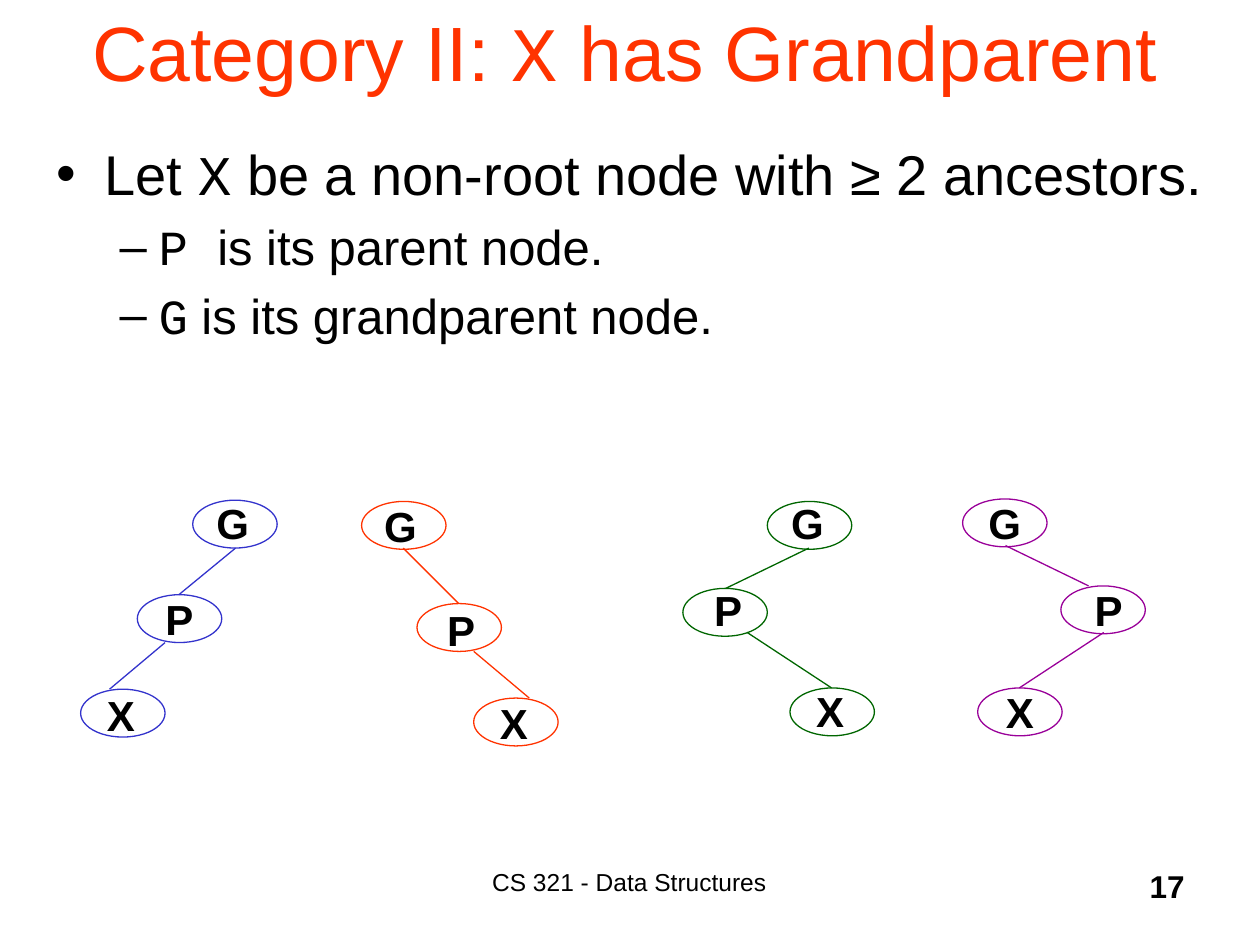
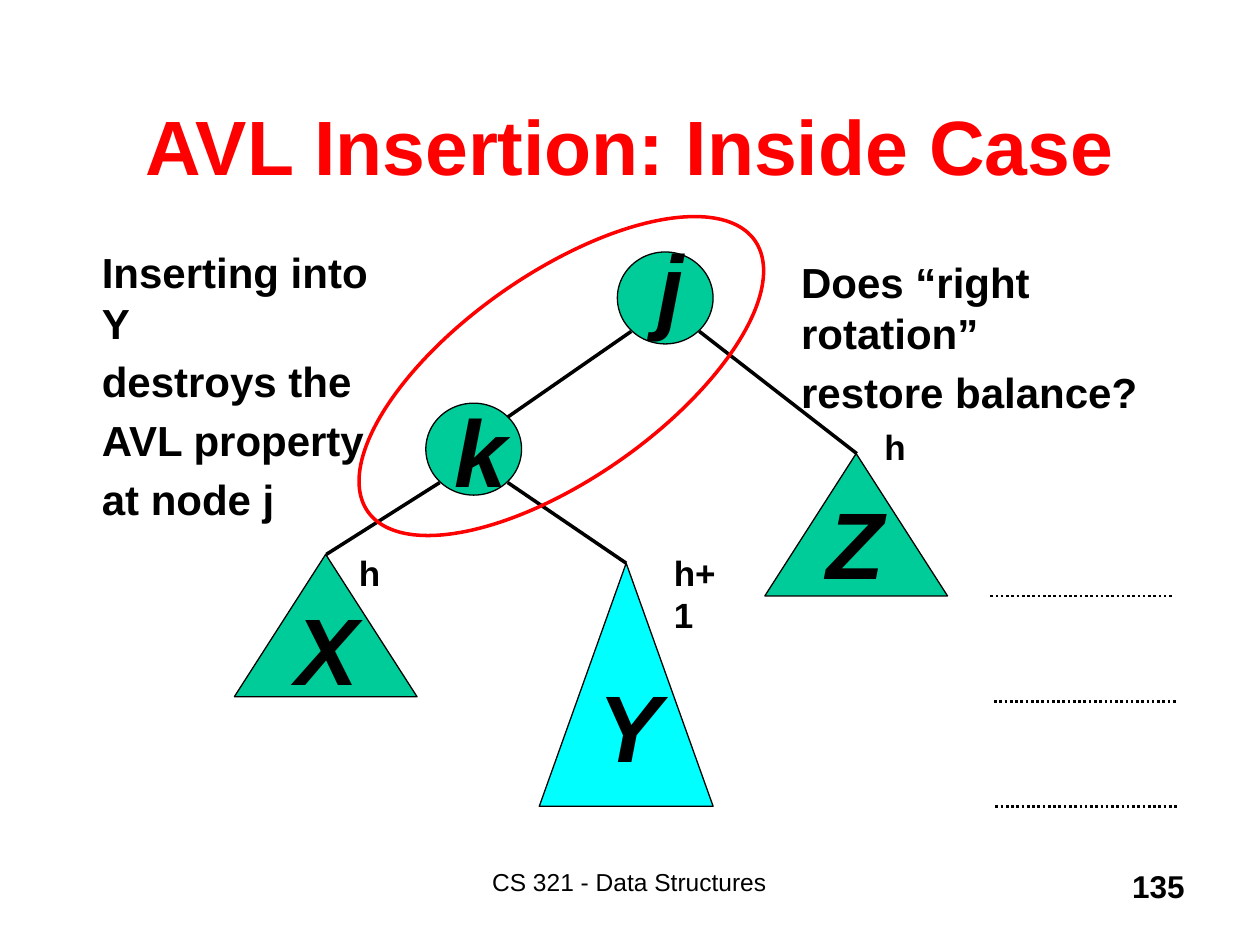
from pptx import Presentation
from pptx.dml.color import RGBColor
from pptx.enum.dml import MSO_LINE
from pptx.enum.shapes import MSO_CONNECTOR, MSO_SHAPE
from pptx.enum.text import MSO_ANCHOR, PP_ALIGN
from pptx.oxml.ns import qn
from pptx.util import Inches, Pt
from lxml import etree

SANS, MONO = "Arial", "Courier New"
BLACK, RED, GREEN, CYAN = "000000", "FF0000", "00CC99", "00FFFF"
LEFT, MID, RIGHT = PP_ALIGN.LEFT, PP_ALIGN.CENTER, PP_ALIGN.RIGHT

TREES = [
    ("3333CC",
     [("G", 1.53, 3.97, 1.62, 3.9), ("P", 1.09, 4.72), ("X", 0.64, 5.47, 0.75, 5.42)],
     [(1.87, 4.35, 1.42, 4.72), (1.31, 5.1, 0.87, 5.47)]),
    ("FF3300",
     [("G", 2.87, 3.98, 2.95, 3.92), ("P", 3.31, 4.79, 3.45, 4.75), ("X", 3.76, 5.54, 3.87, 5.49)],
     [(3.2, 4.35, 3.64, 4.79), (3.76, 5.17, 4.2, 5.54)]),
    ("006600",
     [("G", 6.09, 3.98, 6.18, 3.9), ("P", 5.42, 4.67, 5.57, 4.59), ("X", 6.27, 5.46, 6.38, 5.39)],
     [(6.42, 4.35, 5.76, 4.67), (5.93, 5.02, 6.6, 5.46)]),
    ("990099",
     [("G", 7.64, 3.96), ("P", 8.42, 4.65, 8.59, 4.59), ("X", 7.76, 5.46)],
     [(7.98, 4.33, 8.64, 4.65), (8.76, 5.02, 8.09, 5.46)]),
]


def color(code):
    """Turn a hex string into a colour."""
    return RGBColor.from_string(code)


def style(para, size, ink=BLACK, bold=False, italic=False, align=LEFT, gap=0.2):
    """Set the font, alignment and space before of a paragraph."""
    font = para.font
    font.name, font.size, font.bold, font.italic = SANS, Pt(size), bold, italic
    font.color.rgb = color(ink)
    para.alignment = align
    para.space_before = Pt(round(size * gap, 1))


def fill_runs(para, text):
    """Write text in which backticks enclose monospaced parts."""
    for i, part in enumerate(text.split("`")):
        if part:
            run = para.add_run()
            run.text = part
            if i % 2:
                run.font.name = MONO


def add_text(shapes, box, lines, size, anchor=MSO_ANCHOR.TOP, **look):
    """Add a wrapped text box with one paragraph per line."""
    frame = shapes.add_textbox(*map(Inches, box)).text_frame
    frame.word_wrap = True
    frame.vertical_anchor = anchor
    for i, line in enumerate(lines):
        para = frame.paragraphs[0] if i == 0 else frame.add_paragraph()
        fill_runs(para, line)
        style(para, size, **look)
    return frame


def add_form(shapes, kind, box, line, fill=None, width=0.75):
    """Add an outlined preset shape, filled if a fill is given."""
    form = shapes.add_shape(kind, *map(Inches, box))
    form.shadow.inherit = False
    if fill:
        form.fill.solid()
        form.fill.fore_color.rgb = color(fill)
    else:
        form.fill.background()
    form.line.color.rgb = color(line)
    form.line.width = Pt(width)
    return form


def add_line(shapes, ends, ink=BLACK, width=2, dash=None):
    """Add a straight line between two points."""
    line = shapes.add_connector(MSO_CONNECTOR.STRAIGHT, *map(Inches, ends))
    line.line.color.rgb = color(ink)
    line.line.width = Pt(width)
    if dash:
        line.line.dash_style = dash
    etree.SubElement(line._element.spPr, qn("a:effectLst"))


def add_bullet(para, mark, left, hang):
    """Give a paragraph a bullet and a hanging indent."""
    props = para._p.get_or_add_pPr()
    props.set("marL", str(Inches(left)))
    props.set("indent", str(-Inches(hang)))
    etree.SubElement(props, qn("a:buFont")).set("typeface", SANS)
    etree.SubElement(props, qn("a:buChar")).set("char", mark)
    fonts = props.find(qn("a:defRPr"))
    if fonts is not None:
        props.append(fonts)


def add_node(shapes, ink, name, x, y, *spot):
    """Add a tree node, named inside or by a label at the spot."""
    oval = add_form(shapes, MSO_SHAPE.OVAL, (x, y, 0.67, 0.38), ink)
    if spot:
        add_text(shapes, (*spot, 0.47, 0.5), [name], 24, bold=True)
    else:
        frame = oval.text_frame
        frame.word_wrap = False
        frame.vertical_anchor = MSO_ANCHOR.MIDDLE
        para = frame.paragraphs[0]
        para.text = name
        style(para, 24, bold=True, align=MID)


def add_tree(slide, ink, nodes, edges):
    """Add a group with the nodes and edges of one tree."""
    shapes = slide.shapes.add_group_shape().shapes
    for node in nodes:
        add_node(shapes, ink, *node)
    for edge in edges:
        add_line(shapes, edge, ink, 0.75)


def add_part(shapes, kind, box, name, spot, fill=GREEN):
    """Add a filled node or subtree with its large letter."""
    add_form(shapes, kind, box, BLACK, fill)
    add_text(shapes, (*spot, 0.46, 1), [name], 54, bold=True, italic=True, gap=0.626)


def add_page(deck, title, box, ink, number, bold=False):
    """Add a slide with its title, footer and number."""
    slide = deck.slides.add_slide(deck.slide_layouts[6])
    shapes = slide.shapes
    add_text(shapes, box, [title], 44, MSO_ANCHOR.MIDDLE, ink=ink, bold=bold, align=MID)
    add_text(shapes, (3.08, 6.83, 3.83, 0.5), ["CS 321 - Data Structures"], 14, align=MID, gap=0)
    add_text(shapes, (7.42, 6.83, 2.08, 0.5), [number], 18, bold=True, align=RIGHT, gap=0)
    return slide


def add_cases(deck):
    """Build the slide with the four grandparent cases."""
    slide = add_page(deck, "Category II: `X` has Grandparent",
                     (0.42, -0.04, 9.08, 0.88), "FF3300", "17")
    lines = ["Let `X` be a non-root node with ≥ 2 ancestors.",
             "`P `is its parent node.", "`G` is its grandparent node."]
    frame = add_text(slide.shapes, (0.35, 1.06, 9.48, 2.51), lines, 32)
    head, *subs = frame.paragraphs
    add_bullet(head, "•", 0.38, 0.38)
    for para in subs:
        para.level = 1
        style(para, 28)
        add_bullet(para, "–", 0.81, 0.31)
    for tree in TREES:
        add_tree(slide, *tree)


def add_inside(deck):
    """Build the slide with the inside case of insertion."""
    shapes = add_page(deck, "AVL Insertion: Inside Case",
                      (0.73, 0.71, 8.55, 0.88), RED, "135", True).shapes
    oval, peak = MSO_SHAPE.OVAL, MSO_SHAPE.ISOSCELES_TRIANGLE
    for ends in [(5.01, 2.63, 4.03, 3.31), (3.49, 3.83, 2.59, 4.4),
                 (4.03, 3.83, 4.97, 4.47), (5.55, 2.63, 6.8, 3.6)]:
        add_line(shapes, ends)
    add_part(shapes, oval, (4.9, 2, 0.76, 0.73), "j", (5.12, 1.76))
    add_part(shapes, oval, (3.38, 3.2, 0.76, 0.73), "k", (3.51, 3.07))
    add_part(shapes, peak, (1.86, 4.4, 1.45, 1.13), "X", (2.25, 4.64))
    add_part(shapes, peak, (4.28, 4.47, 1.38, 1.93), "Y", (4.65, 5.25), CYAN)
    add_part(shapes, peak, (6.07, 3.6, 1.45, 1.13), "Z", (6.46, 3.8))
    for x, y in [(7.86, 4.73), (7.89, 5.57), (7.9, 6.4)]:
        add_line(shapes, (x, y, x + 1.45, y), width=1.5, dash=MSO_LINE.ROUND_DOT)
    add_text(shapes, (0.71, 1.91, 2.51, 1.7),
             ["Inserting into Y", "destroys the", "AVL property", "at node j"], 24, bold=True)
    add_text(shapes, (6.26, 1.99, 3.14, 0.9),
             ["Does “right rotation”", "restore balance?"], 24, bold=True)
    add_form(shapes, oval, (2.58, 2.17, 3.75, 1.63), RED, width=2).rotation = 325
    for name, x, y, wide in [("h", 6.92, 3.33, 0.36), ("h+1", 5.25, 4.33, 0.67),
                             ("h", 2.75, 4.33, 0.35)]:
        add_text(shapes, (x, y, wide, 0.44), [name], 20, bold=True)


def main():
    """Build and save the deck."""
    deck = Presentation()
    deck.slide_width, deck.slide_height = Inches(10), Inches(7.5)
    add_cases(deck)
    add_inside(deck)
    deck.save("out.pptx")


if __name__ == "__main__":
    main()
